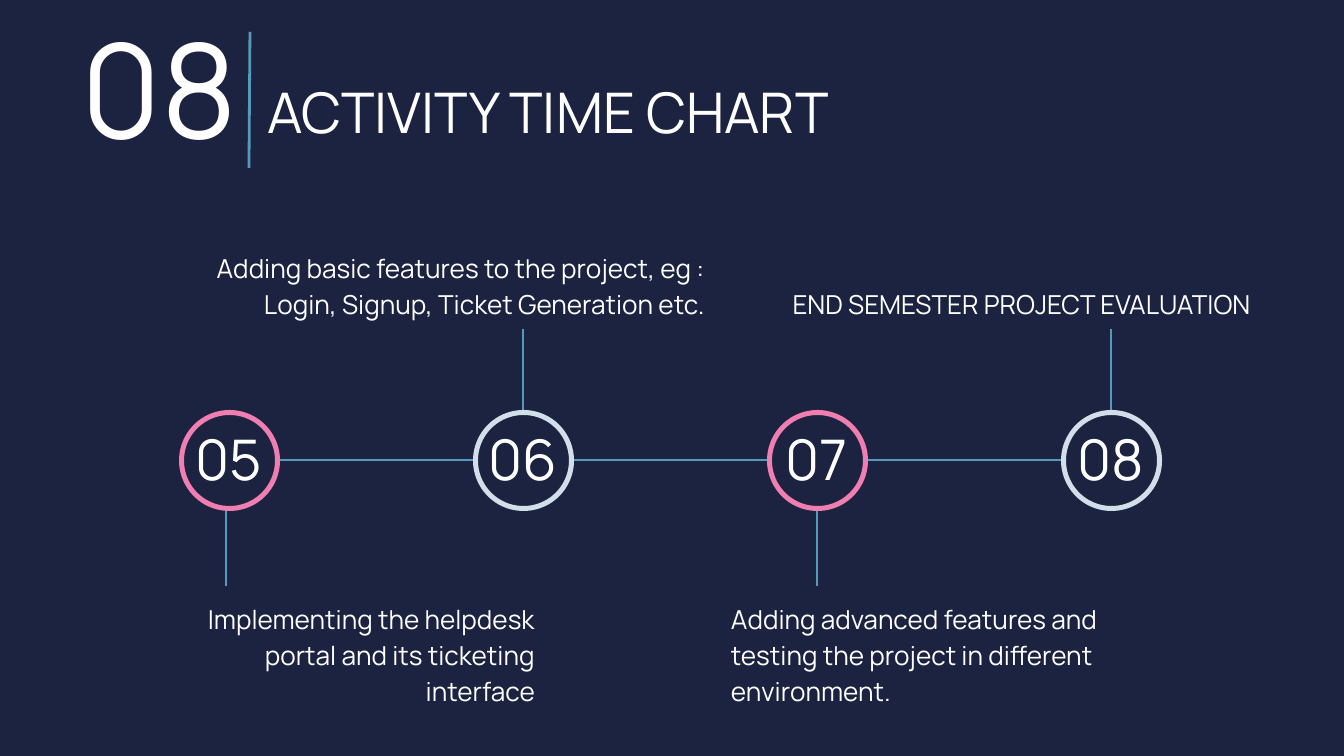
from dataclasses import dataclass

from lxml.etree import SubElement
from pptx import Presentation
from pptx.dml.color import RGBColor
from pptx.enum.shapes import MSO_CONNECTOR, MSO_SHAPE
from pptx.enum.text import MSO_ANCHOR, MSO_AUTO_SIZE, PP_ALIGN
from pptx.oxml.ns import qn
from pptx.shapes.base import BaseShape
from pptx.slide import Slide
from pptx.util import Emu, Pt

EMU_PER_PX = 914400 / 134.4
FONT = "Manrope"
COLORS = {
    "background": "1C2340",
    "text": "FFFFFF",
    "line": "559ABA",
    "pink": "F17EB0",
    "pale": "D2DFE9",
}
FIRST_CENTER, PITCH, CENTER_Y = 229, 294, 460
RING_SIZE, RING_BAND, RING_REACH = 101, 5, 48
NUMBER_WIDTH, NUMBER_HEIGHT = 134, 85
STEM_TOP, STEM_BOTTOM = 329, 586
UPPER_TOP, LOWER_TOP, NOTE_HEIGHT = 208, 586, 125
INSET = 13


@dataclass(frozen=True)
class Step:
    number: str
    note: str
    color: str
    above: bool
    left: int
    width: int
    align: PP_ALIGN = PP_ALIGN.RIGHT
    stem_shift: int = 0


STEPS = [
    Step("05", "Implementing the helpdesk portal and its ticketing interface",
         "pink", False, 153, 395, stem_shift=-3),
    Step("06", "Adding basic features to the project, eg : Login, Signup, Ticket Generation etc.",
         "pale", True, 187, 531),
    Step("07", "Adding advanced features and testing the project in different environment.",
         "pink", False, 718, 422, PP_ALIGN.LEFT),
    Step("08", "END SEMESTER PROJECT EVALUATION", "pale", True, 777, 487),
]


def px(length: int) -> Emu:
    return Emu(round(length * EMU_PER_PX))


def color(name: str) -> RGBColor:
    return RGBColor.from_string(COLORS[name])


def write(box: BaseShape, text: str, *, left: int, top: int, width: int, height: int,
          size: int, align: PP_ALIGN = PP_ALIGN.LEFT,
          anchor: MSO_ANCHOR = MSO_ANCHOR.TOP, spacing: float = 1.0) -> None:
    box.left, box.top, box.width, box.height = map(px, (left, top, width, height))
    frame = box.text_frame
    frame.word_wrap = True
    frame.auto_size = MSO_AUTO_SIZE.NONE
    frame.vertical_anchor = anchor
    frame.margin_left = frame.margin_right = px(INSET)
    frame.margin_top = frame.margin_bottom = px(INSET)
    para = frame.paragraphs[0]
    para.alignment = align
    para.line_spacing = spacing
    span = para.add_run()
    span.text = text
    span.font.name = FONT
    span.font.size = Pt(size)
    span.font.color.rgb = color("text")


def add_box(page: Slide) -> BaseShape:
    return page.shapes.add_textbox(0, 0, 0, 0)


def add_line(page: Slide, x1: int, y1: int, x2: int, y2: int) -> None:
    line = page.shapes.add_connector(MSO_CONNECTOR.STRAIGHT, px(x1), px(y1), px(x2), px(y2))
    line.line.color.rgb = color("line")
    line.line.width = Pt(1.5)
    SubElement(line._element.spPr, qn("a:effectLst"))


def add_ring(page: Slide, center: int, color_name: str) -> None:
    ring = page.shapes.add_shape(
        MSO_SHAPE.DONUT, px(center - RING_SIZE // 2), px(CENTER_Y - RING_SIZE // 2),
        px(RING_SIZE), px(RING_SIZE))
    ring.adjustments[0] = RING_BAND / RING_SIZE
    ring.shadow.inherit = False
    ring.fill.solid()
    ring.fill.fore_color.rgb = color(color_name)
    ring.line.fill.background()


def add_step(page: Slide, step: Step, center: int) -> None:
    stem_x = center + step.stem_shift
    if step.above:
        add_line(page, stem_x, STEM_TOP, stem_x, CENTER_Y - RING_REACH)
    else:
        add_line(page, stem_x, CENTER_Y + RING_REACH, stem_x, STEM_BOTTOM)
    add_ring(page, center, step.color)
    write(add_box(page), step.number, left=center - NUMBER_WIDTH // 2,
          top=CENTER_Y - NUMBER_HEIGHT // 2 - 2, width=NUMBER_WIDTH, height=NUMBER_HEIGHT,
          size=30, align=PP_ALIGN.CENTER, anchor=MSO_ANCHOR.MIDDLE)
    write(add_box(page), step.note, left=step.left,
          top=UPPER_TOP if step.above else LOWER_TOP, width=step.width, height=NOTE_HEIGHT,
          size=14, align=step.align, spacing=1.15,
          anchor=MSO_ANCHOR.BOTTOM if step.above else MSO_ANCHOR.TOP)


def main() -> None:
    deck = Presentation()
    deck.slide_width, deck.slide_height = px(1344), px(756)
    page = deck.slides.add_slide(deck.slide_layouts[5])
    page.background.fill.solid()
    page.background.fill.fore_color.rgb = color("background")

    write(page.shapes.title, "ACTIVITY TIME CHART", left=254, top=65, width=801, height=116, size=30)
    write(add_box(page), "08", left=69, top=-5, width=258, height=130, size=70)
    add_line(page, 250, 32, 249, 168)

    centers = [FIRST_CENTER + PITCH * index for index in range(len(STEPS))]
    for start, end in zip(centers, centers[1:]):
        add_line(page, start + RING_REACH, CENTER_Y, end - RING_REACH, CENTER_Y)
    for step, center in zip(STEPS, centers):
        add_step(page, step, center)

    deck.save("out.pptx")


if __name__ == "__main__":
    main()
